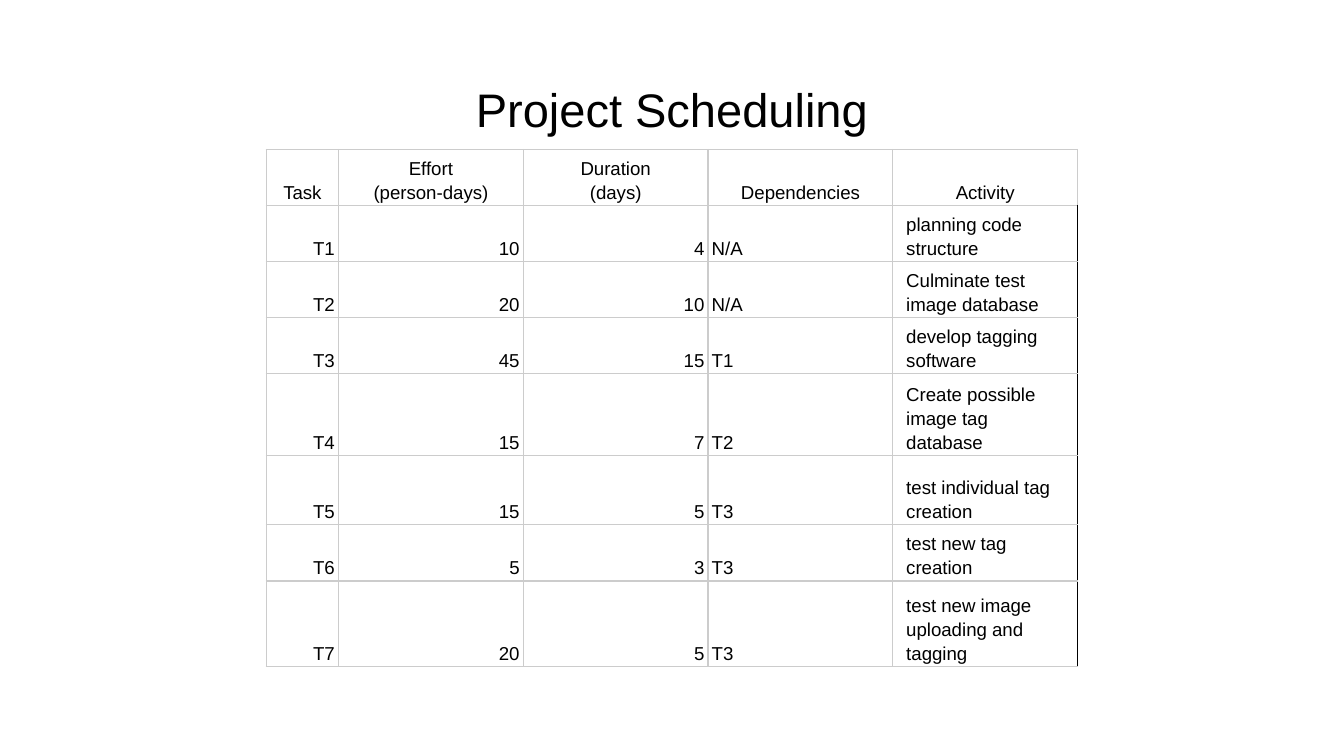
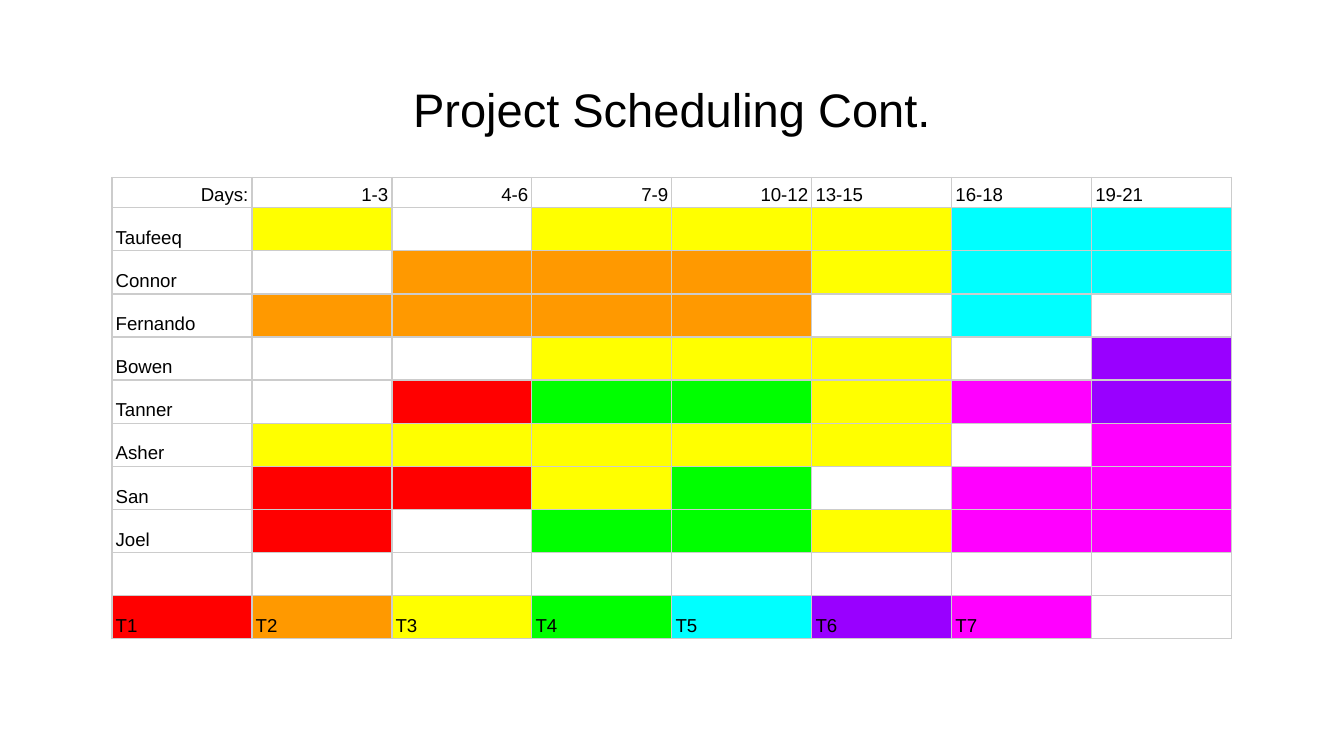
"""Two project scheduling slides: a task table and a staffing chart by days."""
from lxml import etree
from pptx import Presentation
from pptx import util as u
from pptx.dml.color import RGBColor
from pptx.enum import text
from pptx.oxml.ns import qn

FONT = "Arial"
COLORS = {
    "ink": "000000", "grid": "CCCCCC",
    "T1": "FF0000", "T2": "FF9900", "T3": "FFFF00", "T4": "00FF00",
    "T5": "00FFFF", "T6": "9900FF", "T7": "FF00FF",
}
LEFT, CENTER, RIGHT = (text.PP_ALIGN.LEFT, text.PP_ALIGN.CENTER,
                       text.PP_ALIGN.RIGHT)

TASK_HEADER = ["Task", "Effort\n(person-days)", "Duration\n(days)",
               "Dependencies", "Activity"]
TASKS = [
    ["T1", "10", "4", "N/A", "planning code structure"],
    ["T2", "20", "10", "N/A", "Culminate test image database"],
    ["T3", "45", "15", "T1", "develop tagging software"],
    ["T4", "15", "7", "T2", "Create possible image tag database"],
    ["T5", "15", "5", "T3", "test individual tag creation"],
    ["T6", "5", "3", "T3", "test new tag creation"],
    ["T7", "20", "5", "T3", "test new image uploading and tagging"],
]
TASK_ALIGNS = [RIGHT, RIGHT, RIGHT, LEFT, LEFT]
TASK_WIDTHS = [38.7] + [99] * 4
TASK_HEIGHTS = [28.7] * 4 + [41.5, 37.2, 28.7, 46]

DAYS = ["Days:", "1-3", "4-6", "7-9", "10-12", "13-15", "16-18", "19-21"]
STAFFING = {
    "Taufeeq": "3.33355", "Connor": ".222355", "Fernando": "2222.5.",
    "Bowen": "..333.6", "Tanner": ".144376", "Asher": "33333.7",
    "San": "1134.77", "Joel": "1.44377",
}
TASK_NAMES = [row[0] for row in TASKS]


def style_run(r, size):
    """Apply the shared font to a run."""
    r.font.name = FONT
    r.font.size = u.Pt(size)
    r.font.bold = False
    r.font.color.rgb = RGBColor.from_string(COLORS["ink"])


def add_title(s, title):
    """Add the centred slide title."""
    sp = s.shapes.add_textbox(u.Pt(24.5), u.Pt(35.3), u.Pt(671), u.Pt(45.4))
    tf = sp.text_frame
    tf.word_wrap = True
    tf.vertical_anchor = text.MSO_ANCHOR.BOTTOM
    tf.margin_left = tf.margin_right = u.Pt(7.2)
    tf.margin_top = tf.margin_bottom = u.Pt(7.2)
    tf.text = title
    p = tf.paragraphs[0]
    p.alignment = CENTER
    style_run(p.runs[0], 25.2)


def set_borders(cell, right):
    """Draw the four cell borders, the right one in its own colour."""
    tc_pr = cell._tc.get_or_add_tcPr()
    for side in "LRTB":
        ln = etree.SubElement(tc_pr, qn(f"a:ln{side}"), w=str(u.Pt(0.75)))
        fill = etree.SubElement(ln, qn("a:solidFill"))
        color = COLORS[right if side == "R" else "grid"]
        etree.SubElement(fill, qn("a:srgbClr"), val=color)


def fill_cell(cell, value, align=LEFT, fill=None, inset=2, right="grid"):
    """Write and format one table cell."""
    set_borders(cell, right)
    if fill:
        cell.fill.solid()
        cell.fill.fore_color.rgb = RGBColor.from_string(COLORS[fill])
    else:
        cell.fill.background()
    cell.vertical_anchor = text.MSO_ANCHOR.BOTTOM
    cell.margin_left = cell.margin_right = u.Pt(inset)
    cell.margin_top = cell.margin_bottom = u.Pt(1.2)
    cell.text_frame.text = value
    for p in cell.text_frame.paragraphs:
        p.alignment = align
        p.line_spacing = 1.15
        for r in p.runs:
            style_run(r, 10)
        if not p.runs:
            etree.SubElement(p._p, qn("a:endParaRPr"), sz="1000")


def add_grid(s, top, widths, heights):
    """Add a plain table centred across the slide."""
    width = sum(widths)
    table = s.shapes.add_table(
        len(heights), len(widths), u.Pt((720 - width) / 2), u.Pt(top),
        u.Pt(width), u.Pt(sum(heights))).table
    table.first_row = table.horz_banding = False
    for col, w in zip(table.columns, widths):
        col.width = u.Pt(w)
    for row, h in zip(table.rows, heights):
        row.height = u.Pt(h)
    return table


def add_task_table(s):
    """Add the table of tasks, effort and dependencies."""
    table = add_grid(s, 80.1, TASK_WIDTHS, TASK_HEIGHTS)
    for c, label in enumerate(TASK_HEADER):
        fill_cell(table.cell(0, c), label, CENTER)
    for r, task in enumerate(TASKS, 1):
        for c, (value, align) in enumerate(zip(task, TASK_ALIGNS)):
            look = {"inset": 7.2, "right": "ink"} if c == 4 else {}
            fill_cell(table.cell(r, c), value, align, **look)


def add_staffing_table(s):
    """Add the people by days grid with its colour key."""
    key_row = len(STAFFING) + 2
    table = add_grid(s, 95.1, [75] * len(DAYS), [16] + [23.1] * key_row)
    for c, label in enumerate(DAYS):
        fill_cell(table.cell(0, c), label, RIGHT if c < 5 else LEFT)
        fill_cell(table.cell(key_row - 1, c), "")
    for r, (person, plan) in enumerate(STAFFING.items(), 1):
        fill_cell(table.cell(r, 0), person)
        for c, task in enumerate(plan, 1):
            fill_cell(table.cell(r, c), "",
                      fill=None if task == "." else "T" + task)
    for c, name in enumerate(TASK_NAMES + [""]):
        fill_cell(table.cell(key_row, c), name, fill=name)


def main():
    """Build and save both slides."""
    prs = Presentation()
    prs.slide_width, prs.slide_height = u.Pt(720), u.Pt(405)
    for title, add_content in [
        ("Project Scheduling", add_task_table),
        ("Project Scheduling Cont.", add_staffing_table),
    ]:
        s = prs.slides.add_slide(prs.slide_layouts[6])
        add_title(s, title)
        add_content(s)
    prs.save("out.pptx")


if __name__ == "__main__":
    main()
